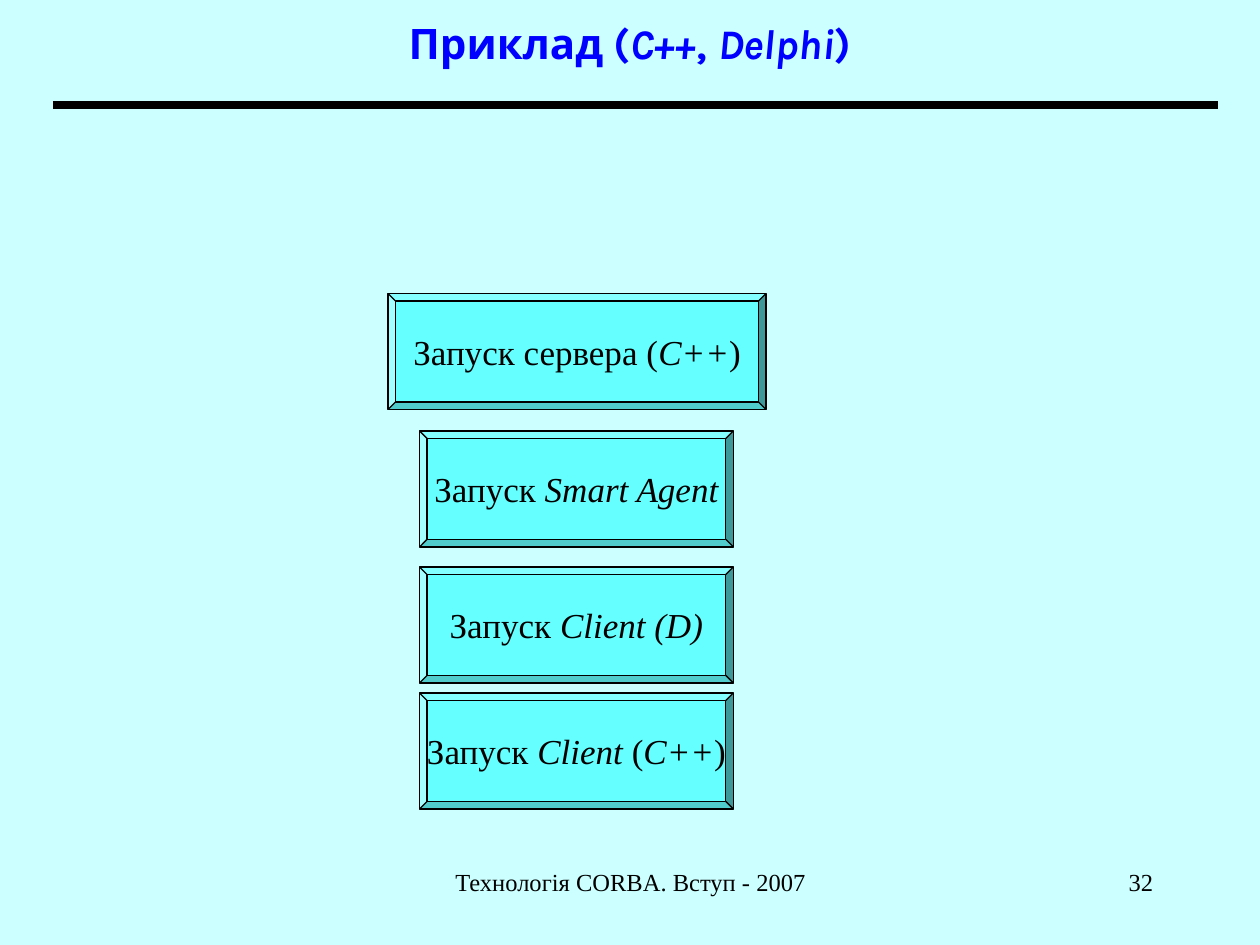
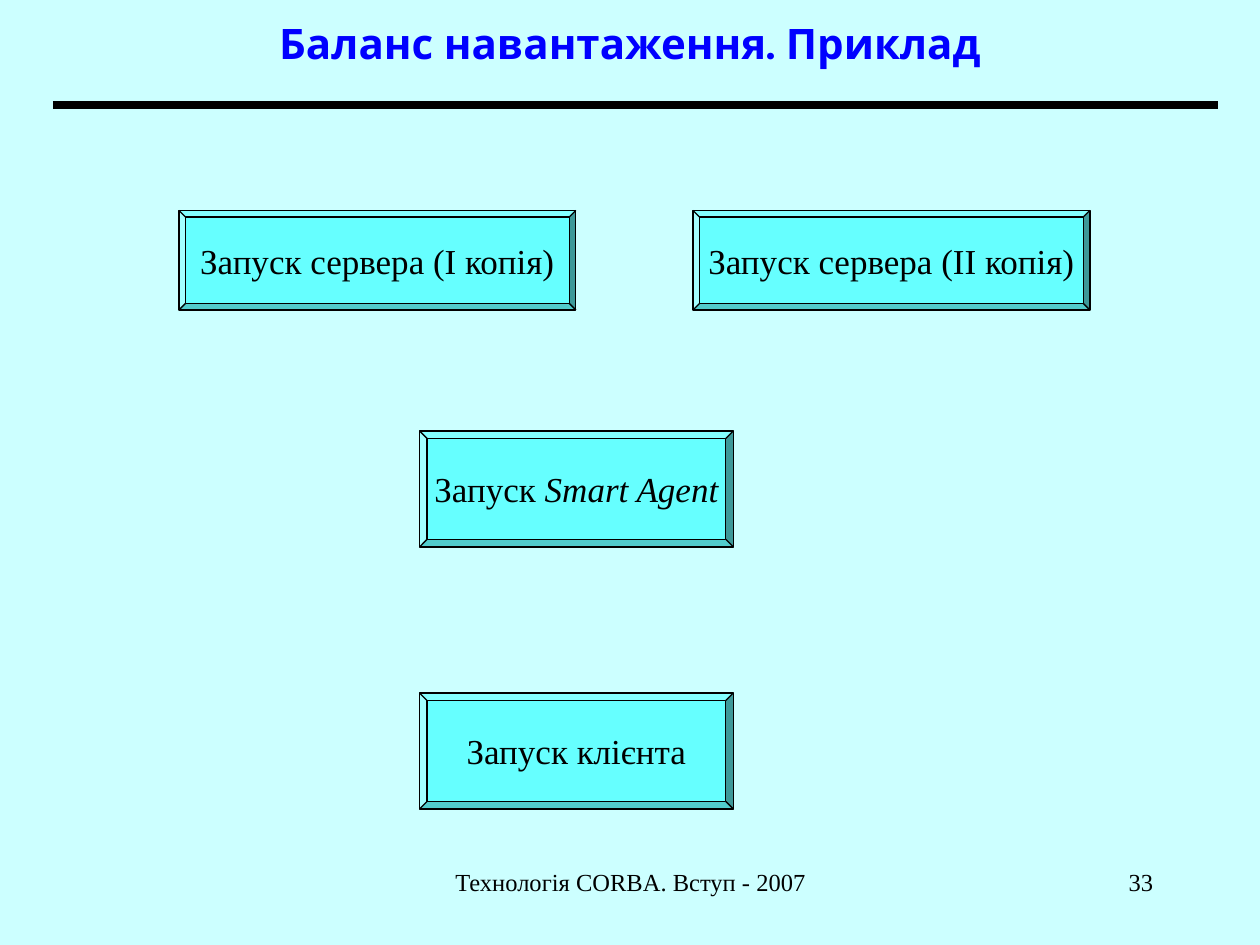
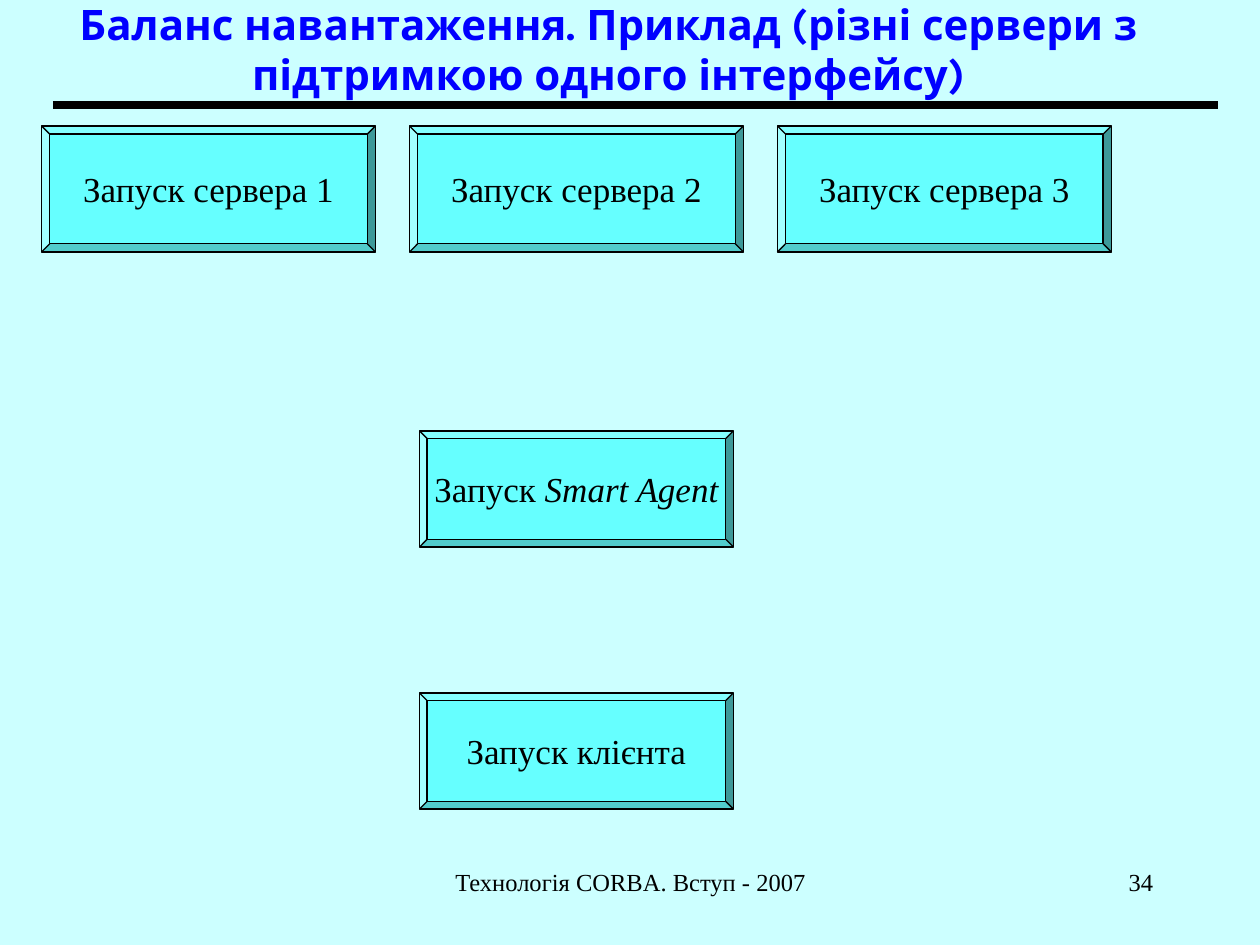
from lxml import etree
from pptx import Presentation
from pptx.dml.color import RGBColor
from pptx.enum.shapes import MSO_CONNECTOR as Connector, MSO_SHAPE as Shape
from pptx.enum.text import MSO_ANCHOR as Anchor, MSO_AUTO_SIZE as AutoSize, PP_ALIGN as Align
from pptx.oxml.ns import qn
from pptx.util import Inches, Pt

BACKGROUND = "CCFFFF"
BUTTON_FILL = "66FFFF"
BLUE = "0000FF"
BLACK = "000000"
TITLE_FONT = "Karla"
BODY_FONT = "Times New Roman"
FOOTER = "Технологія CORBA. Вступ - 2007"
TITLE_BOX = (0.75, 0, 8.5, 0.67)
STEP_LEFT, STEP_WIDTH, STEP_HEIGHT = 3.33, 2.49, 0.92


def color(value):
    return RGBColor.from_string(value)


class Deck:
    def __init__(self):
        self.presentation = Presentation()
        self.presentation.slide_width = Inches(10)
        self.presentation.slide_height = Inches(7.5)
        fill = self.presentation.slide_master.background.fill
        fill.solid()
        fill.fore_color.rgb = color(BACKGROUND)
        self.slide = None

    def set_text(self, shape, text, size, font=BODY_FONT, ink=BLACK, bold=False,
                 align=Align.CENTER, anchor=Anchor.MIDDLE, wrap=True):
        frame = shape.text_frame
        frame.auto_size = AutoSize.NONE
        frame.word_wrap = wrap
        frame.vertical_anchor = anchor
        paragraph = frame.paragraphs[0]
        paragraph.alignment = align
        for index, part in enumerate(text.split("*")):
            if part:
                run = paragraph.add_run()
                run.text = part
                run.font.name = font
                run.font.size = Pt(size)
                run.font.bold = bold
                run.font.italic = index % 2 == 1
                run.font.color.rgb = color(ink)

    def add_slide(self, title, number, title_box=TITLE_BOX):
        self.slide = self.presentation.slides.add_slide(self.presentation.slide_layouts[5])
        self.title(title, title_box)
        self.rule()
        self.label(FOOTER, 3.42, 3.17, Align.CENTER)
        self.label(str(number), 7.17, 2.08, Align.RIGHT)

    def title(self, text, box):
        shape = self.slide.shapes.title
        shape.left, shape.top, shape.width, shape.height = map(Inches, box)
        self.set_text(shape, text, 24, TITLE_FONT, BLUE, bold=True)

    def rule(self):
        line = self.slide.shapes.add_connector(
            Connector.STRAIGHT, Inches(0.42), Inches(0.83), Inches(9.67), Inches(0.83))
        line.line.color.rgb = color(BLACK)
        line.line.width = Pt(4.5)
        etree.SubElement(line._element.spPr, qn("a:effectLst"))

    def label(self, text, left, width, align):
        shape = self.slide.shapes.add_textbox(Inches(left), Inches(6.83), Inches(width), Inches(0.5))
        self.set_text(shape, text, 14, align=align, anchor=Anchor.TOP)

    def button(self, text, top, left=STEP_LEFT, width=STEP_WIDTH, height=STEP_HEIGHT):
        shape = self.slide.shapes.add_shape(
            Shape.BEVEL, Inches(left), Inches(top), Inches(width), Inches(height))
        shape.adjustments[0] = 0.065
        shape.shadow.inherit = False
        shape.fill.solid()
        shape.fill.fore_color.rgb = color(BUTTON_FILL)
        shape.line.color.rgb = color(BLACK)
        shape.line.width = Pt(0.75)
        self.set_text(shape, text, 20, wrap=False)

    def agent(self):
        self.button("Запуск *Smart Agent*", 3.42)

    def client(self, text="Запуск клієнта"):
        self.button(text, 5.5)


def main():
    deck = Deck()

    deck.add_slide("Приклад (*C++*, *Delphi*)", 32)
    deck.client("Запуск *Client *(*C++*)")
    deck.agent()
    deck.button("Запуск *Client (D)*", 4.5)
    deck.button("Запуск сервера (*C++*)", 2.33, left=3.08, width=3)

    deck.add_slide("Баланс навантаження. Приклад", 33)
    deck.client()
    deck.agent()
    for index, copy_number in enumerate(("I", "II")):
        deck.button(f"Запуск сервера ({copy_number} копія)", 1.67,
                    left=1.42 + 4.08 * index, width=3.15, height=0.79)

    deck.add_slide("Баланс навантаження. Приклад (різні сервери з підтримкою одного інтерфейсу)",
                   34, (0.41, 0.11, 8.84, 0.55))
    deck.client()
    deck.agent()
    for index in range(3):
        deck.button(f"Запуск сервера {index + 1}", 1, left=0.33 + 2.92 * index, width=2.65, height=1)

    deck.presentation.save("out.pptx")


if __name__ == "__main__":
    main()
